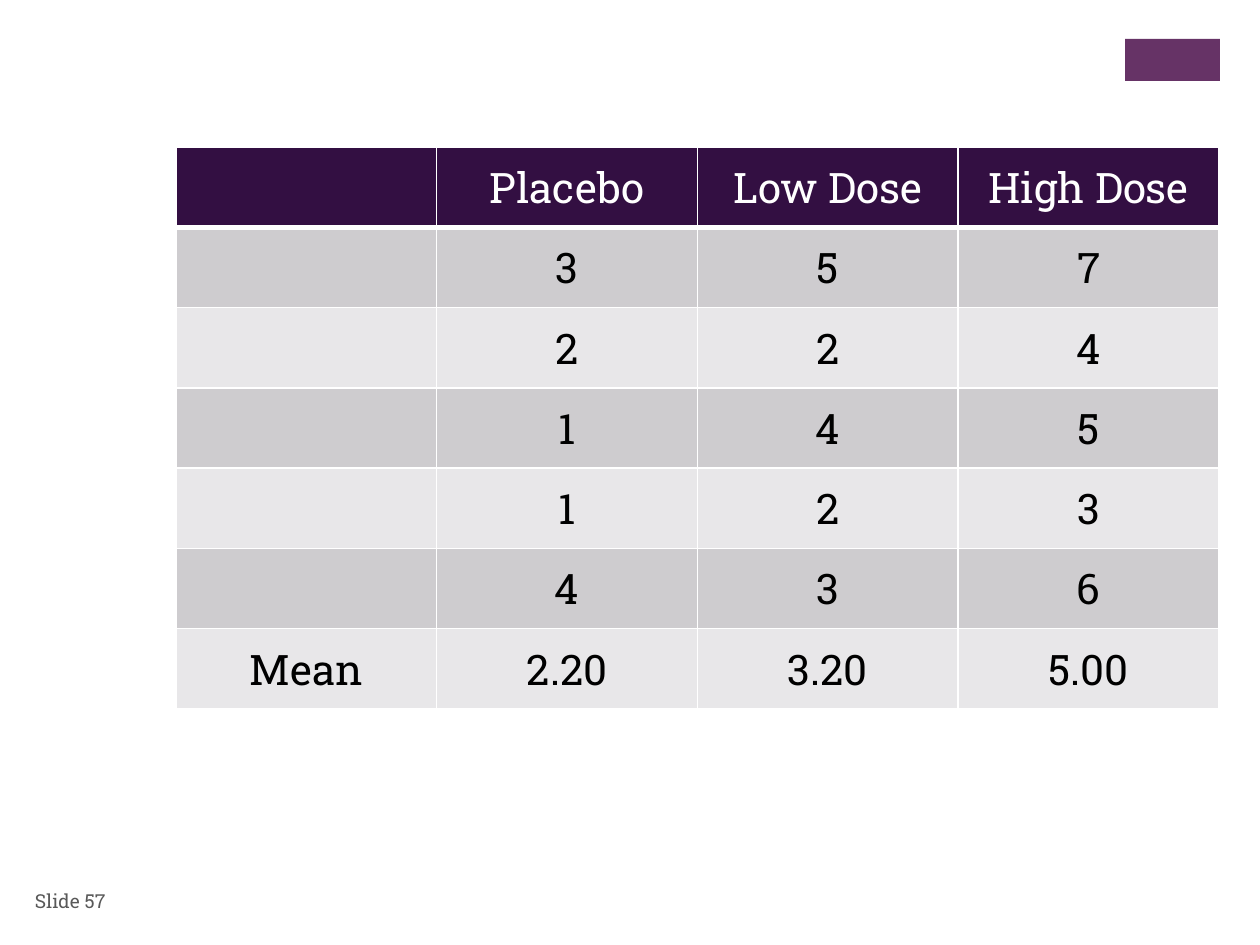
import pptx
import pptx.dml.color
import pptx.enum.shapes
import pptx.enum.text
import pptx.oxml.ns
import pptx.util
import lxml.etree

PIXELS_PER_INCH = 126
FONT = "Roboto Slab"
COLORS = {
    "accent": "663366",
    "header": "330F42",
    "dark_band": "CECCCF",
    "light_band": "E8E7E9",
    "white": "FFFFFF",
    "black": "000000",
    "footer": "595959",
}
ROWS = [
    ["", "Placebo", "Low Dose", "High Dose"],
    ["", "3", "5", "7"],
    ["", "2", "2", "4"],
    ["", "1", "4", "5"],
    ["", "1", "2", "3"],
    ["", "4", "3", "6"],
    ["Mean", "2.20", "3.20", "5.00"],
]


def px(length):
    return pptx.util.Emu(round(length * 914400 / PIXELS_PER_INCH))


def rgb(name):
    return pptx.dml.color.RGBColor.from_string(COLORS[name])


def write_text(text_frame, text, *, size, color, align):
    paragraph = text_frame.paragraphs[0]
    paragraph.alignment = align
    run = paragraph.add_run()
    run.text = text
    run.font.name = FONT
    run.font.size = pptx.util.Pt(size)
    run.font.color.rgb = rgb(color)


def add_accent(slide, left, top, width, height):
    shape = slide.shapes.add_shape(
        pptx.enum.shapes.MSO_SHAPE.RECTANGLE, px(left), px(top), px(width), px(height)
    )
    shape.shadow.inherit = False
    shape.fill.solid()
    shape.fill.fore_color.rgb = rgb("accent")
    shape.line.fill.background()


def add_slide_number(slide, text, left, top, width, height):
    shape = slide.shapes.add_textbox(px(left), px(top), px(width), px(height))
    text_frame = shape.text_frame
    text_frame.word_wrap = True
    text_frame.vertical_anchor = pptx.enum.text.MSO_ANCHOR.MIDDLE
    write_text(text_frame, text, size=11, color="footer", align=pptx.enum.text.PP_ALIGN.RIGHT)


def set_borders(cell, bottom_width):
    properties = cell._tc.get_or_add_tcPr()
    qualified = pptx.oxml.ns.qn
    for side, width in (("L", 1), ("R", 1), ("T", 1), ("B", bottom_width)):
        line = lxml.etree.SubElement(
            properties, qualified(f"a:ln{side}"), w=str(pptx.util.Pt(width))
        )
        fill = lxml.etree.SubElement(line, qualified("a:solidFill"))
        lxml.etree.SubElement(fill, qualified("a:srgbClr"), val=COLORS["white"])


def format_cell(cell, text, *, fill, color, bottom_width):
    set_borders(cell, bottom_width)
    cell.fill.solid()
    cell.fill.fore_color.rgb = rgb(fill)
    cell.vertical_anchor = pptx.enum.text.MSO_ANCHOR.MIDDLE
    cell.margin_left = cell.margin_right = px(9)
    cell.margin_top = cell.margin_bottom = 0
    if text:
        write_text(
            cell.text_frame, text, size=24, color=color, align=pptx.enum.text.PP_ALIGN.CENTER
        )


def add_dose_table(slide, left, top, width, height):
    table = slide.shapes.add_table(
        len(ROWS), len(ROWS[0]), px(left), px(top), px(width), px(height)
    ).table
    for row in table.rows:
        row.height = px(height / len(ROWS))
    for row_index, values in enumerate(ROWS):
        is_header = row_index == 0
        band = "dark_band" if row_index % 2 else "light_band"
        for column_index, text in enumerate(values):
            format_cell(
                table.cell(row_index, column_index),
                text,
                fill="header" if is_header else band,
                color="white" if is_header else "black",
                bottom_width=3 if is_header else 1,
            )


def main():
    presentation = pptx.Presentation()
    presentation.slide_width = px(1260)
    presentation.slide_height = px(945)
    slide = presentation.slides.add_slide(presentation.slide_layouts[6])
    add_accent(slide, 1125, 39, 95, 42)
    add_slide_number(slide, "Slide 57", 0, 876, 118, 50)
    add_dose_table(slide, 176, 147, 1043, 562)
    presentation.save("out.pptx")


if __name__ == "__main__":
    main()
